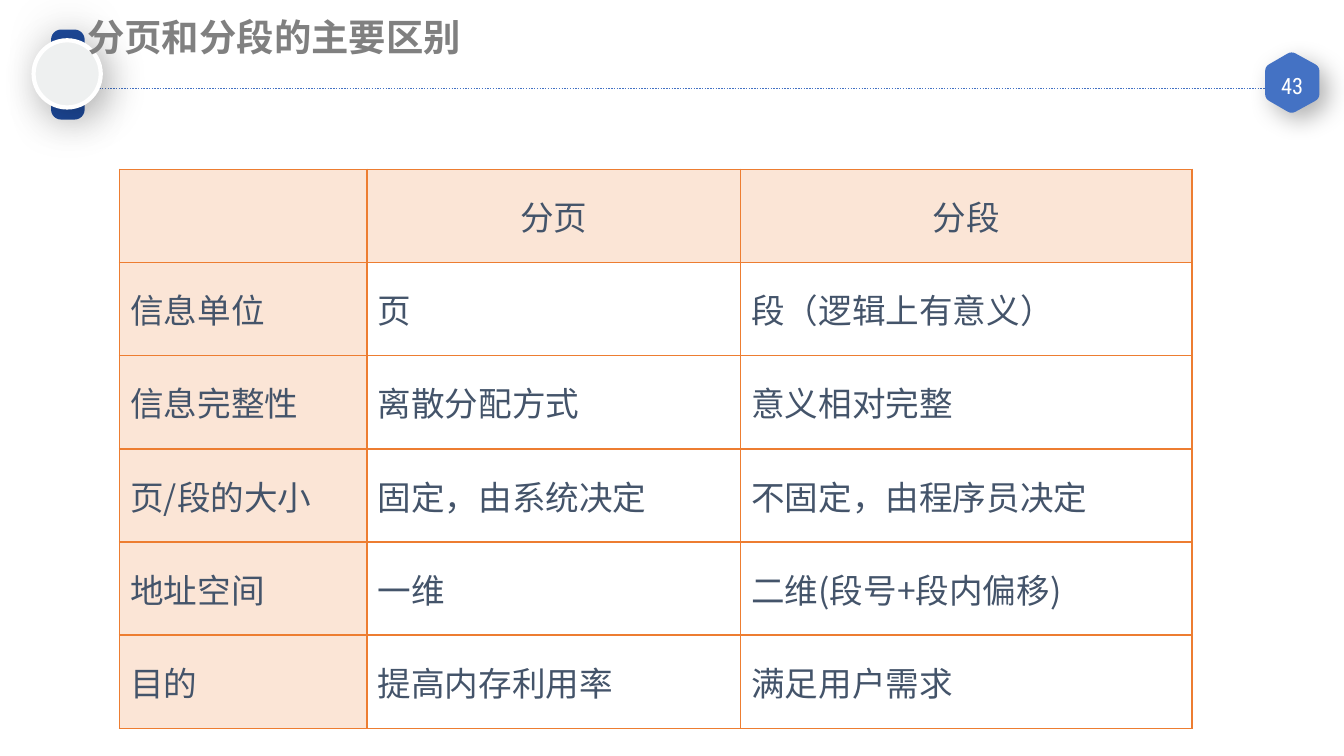
"""Build a slide that compares paging with segmentation in a table."""
from lxml import etree
from pptx import Presentation
from pptx import util as u
from pptx.dml.color import RGBColor
from pptx.enum import dml, shapes, text
from pptx.oxml.ns import qn

HUES = {
    "blue": "4472C4", "navy": "1D4999", "pale": "EEF0F0", "white": "FFFFFF",
    "gray": "808080", "ink": "44546A", "edge": "ED7D31", "peach": "FBE5D6",
    "black": "000000",
}
SANS = "Noto Sans CJK SC"
COLS = [1.84, 2.78, 3.36]
ROWS = [
    ["", "分页", "分段"],
    ["信息单位", "页", "段（逻辑上有意义）"],
    ["信息完整性", "离散分配方式", "意义相对完整"],
    ["页/段的大小", "固定，由系统决定", "不固定，由程序员决定"],
    ["地址空间", "一维", "二维(段号+段内偏移)"],
    ["目的", "提高内存利用率", "满足用户需求"],
]
HEX = [(9.42, 0.5), (9.61, 0.39), (9.81, 0.5),
       (9.81, 0.73), (9.61, 0.84), (9.42, 0.73)]


def rgb(name):
    return RGBColor.from_string(HUES[name])


def box(*sizes):
    return [u.Inches(size) for size in sizes]


def write(frame, words, size=18, font=SANS, hue="ink", bold=False, align="LEFT"):
    para = frame.paragraphs[0]
    para.alignment = getattr(text.PP_ALIGN, align)
    run = para.add_run()
    run.text = words
    run.font.size = u.Pt(size)
    run.font.name = font
    run.font.bold = bold
    run.font.color.rgb = rgb(hue)
    etree.SubElement(run.font._element, qn("a:ea"), typeface=font)


def bend(points, cut=0.14):
    curve = []
    for i, mid in enumerate(points):
        prev, after = points[i - 1], points[(i + 1) % len(points)]
        start = [m + (p - m) * cut for m, p in zip(mid, prev)]
        end = [m + (a - m) * cut for m, a in zip(mid, after)]
        for t in (0, 0.25, 0.5, 0.75, 1):
            curve.append([(1 - t) ** 2 * s + 2 * t * (1 - t) * m + t * t * e
                          for s, m, e in zip(start, mid, end)])
    return curve


class Deck:
    def __init__(self):
        self.show = Presentation()
        self.show.slide_width = u.Inches(10)
        self.show.slide_height = u.Inches(10 * 9 / 16)
        self.slide = self.show.slides.add_slide(self.show.slide_layouts[6])
        self.items = self.slide.shapes

    def rule(self, start, end, hue):
        line = self.items.add_connector(
            shapes.MSO_CONNECTOR.STRAIGHT, *box(*start, *end))
        line.line.color.rgb = rgb(hue)
        line.line.width = u.Pt(0.75)
        line.line.dash_style = dml.MSO_LINE.ROUND_DOT
        etree.SubElement(line._element.spPr, qn("a:effectLst"))

    def paint(self, item, fill, edge, width, shade):
        item.fill.solid()
        item.fill.fore_color.rgb = rgb(fill)
        if edge:
            item.line.color.rgb = rgb(edge)
            item.line.width = u.Pt(width)
        else:
            item.line.fill.background()
        item.shadow.inherit = False
        alpha, blur, dist, angle = shade
        glow = etree.SubElement(
            item._element.spPr.find(qn("a:effectLst")), qn("a:outerShdw"),
            blurRad=str(u.Pt(blur)), dist=str(u.Pt(dist)),
            dir=str(angle * 60000), algn="ctr", rotWithShape="0")
        tint = etree.SubElement(glow, qn("a:srgbClr"), val=HUES["black"])
        etree.SubElement(tint, qn("a:alpha"), val=str(alpha * 1000))

    def shape(self, kind, place, fill, shade, edge=None, width=1, round=None):
        item = self.items.add_shape(
            getattr(shapes.MSO_SHAPE, kind), *box(*place))
        if round is not None:
            item.adjustments[0] = round
        self.paint(item, fill, edge, width, shade)

    def outline(self, points, fill, shade):
        path = [box(*point) for point in points]
        pen = self.items.build_freeform(*path[0])
        pen.add_line_segments(path[1:], close=True)
        self.paint(pen.convert_to_shape(), fill, fill, 1, shade)

    def label(self, words, place, inset=(0.1, 0.05), anchor="TOP", **form):
        frame = self.items.add_textbox(*box(*place)).text_frame
        frame.word_wrap = True
        frame.vertical_anchor = getattr(text.MSO_ANCHOR, anchor)
        frame.margin_left = frame.margin_right = u.Inches(inset[0])
        frame.margin_top = frame.margin_bottom = u.Inches(inset[1])
        write(frame, words, **form)

    def border(self, cell, hue):
        props = cell._tc.get_or_add_tcPr()
        for side in ("lnL", "lnR", "lnT", "lnB"):
            line = etree.SubElement(props, qn("a:" + side), w=str(u.Pt(1)))
            fill = etree.SubElement(line, qn("a:solidFill"))
            etree.SubElement(fill, qn("a:srgbClr"), val=HUES[hue])

    def table(self, rows, cols, place):
        grid = self.items.add_table(len(rows), len(cols), *box(*place)).table
        grid.first_row = grid.horz_banding = False
        for col, width in zip(grid.columns, cols):
            col.width = u.Inches(width)
        for r, row in enumerate(rows):
            for c, words in enumerate(row):
                cell = grid.cell(r, c)
                cell.vertical_anchor = text.MSO_ANCHOR.MIDDLE
                cell.margin_left = cell.margin_right = u.Inches(0.08)
                cell.margin_top = cell.margin_bottom = u.Inches(0.04)
                self.border(cell, "edge")
                if r == 0 or c == 0:
                    cell.fill.solid()
                    cell.fill.fore_color.rgb = rgb("peach")
                else:
                    cell.fill.background()
                if words:
                    write(cell.text_frame, words,
                          align="LEFT" if r else "CENTER")


def main():
    deck = Deck()
    deck.rule((0.33, 0.66), (9.43, 0.66), "blue")
    deck.outline(bend(HEX), "blue", (30, 13, 6, 45))
    deck.label("43", (9.42, 0.51, 0.39, 0.25), (0.07, 0.04), "MIDDLE",
               size=12, font="Roboto Condensed", hue="white", align="CENTER")
    deck.shape("ROUNDED_RECTANGLE", (0.38, 0.22, 0.25, 0.67), "navy",
               (17, 27, 0, 0), round=0.3)
    deck.shape("OVAL", (0.25, 0.3, 0.5, 0.5), "pale", (28, 22, 6, 45),
               edge="white", width=2.25)
    deck.label("分页和分段的主要区别", (0.55, 0.06, 5.76, 0.44),
               size=20, hue="gray", bold=True)
    deck.table(ROWS, COLS, (0.89, 1.26, sum(COLS), 4.16))
    deck.show.save("out.pptx")


if __name__ == "__main__":
    main()
